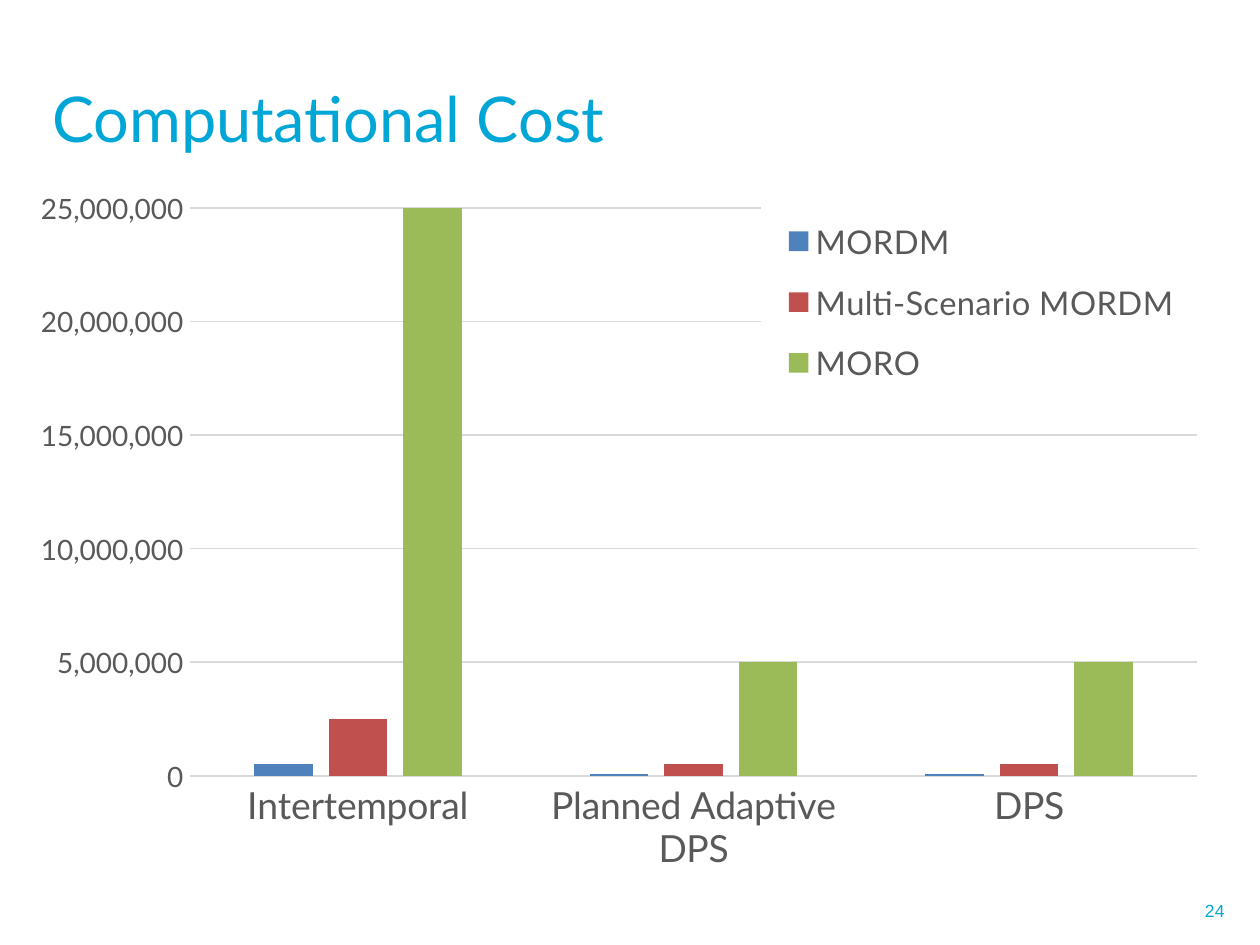
import pptx
import pptx.chart.data
import pptx.dml.color
import pptx.enum.chart
import pptx.enum.text
import pptx.oxml
import pptx.oxml.ns
import pptx.util

COLORS = {
    "accent": "00A6D6", "label": "595959", "grid": "D9D9D9", "paper": "FFFFFF",
    "text": "000000", "blue": "4F81BD", "red": "C0504D", "green": "9BBB59",
}
WIDTH = 7.5
HEIGHT = WIDTH * 3 / 4
NS = pptx.oxml.ns.nsdecls("c", "a")
ALIGN = pptx.enum.text.PP_ALIGN
ANCHOR = pptx.enum.text.MSO_ANCHOR


def rgb(name):
    return pptx.dml.color.RGBColor.from_string(COLORS[name])


def format_font(font, size, color, face="Lato"):
    font.size = pptx.util.Pt(size)
    font.name = face
    font.bold = False
    font.color.rgb = rgb(color)


def write(frame, text, size=12, color="text", face="Lato", align=ALIGN.LEFT):
    frame.text = text
    frame.word_wrap = True
    frame.auto_size = pptx.enum.text.MSO_AUTO_SIZE.NONE
    frame.vertical_anchor = ANCHOR.MIDDLE
    paragraph = frame.paragraphs[0]
    paragraph.alignment = align
    format_font(paragraph.runs[0].font, size, color, face)


def set_layout(parent, after, *place, inner=False):
    """Place a chart part by percentages of the chart's size."""
    for old in parent.findall(pptx.oxml.ns.qn("c:layout")):
        parent.remove(old)
    target = '<c:layoutTarget val="inner"/>' if inner else ""
    sides = "".join(f'<c:{side} val="{share / 100:.4f}"/>'
                    for side, share in zip("xywh", place))
    layout = pptx.oxml.parse_xml(
        f'<c:layout {NS}><c:manualLayout>{target}'
        f'<c:xMode val="edge"/><c:yMode val="edge"/>{sides}'
        '</c:manualLayout></c:layout>')
    if after is None:
        parent.insert(0, layout)
    else:
        parent.find(pptx.oxml.ns.qn(after)).addnext(layout)


class CostSlide:
    def __init__(self, deck):
        self.slide = deck.slides.add_slide(deck.slide_layouts[5])
        self.slide.background.fill.solid()
        self.slide.background.fill.fore_color.rgb = rgb("paper")

    def box(self, x, y, w, h):
        """Turn percentages of the slide's size into lengths."""
        return [pptx.util.Inches(share / 100 * side) for share, side in
                zip((x, y, w, h), (WIDTH, HEIGHT) * 2)]

    def title(self, text, *place):
        heading = self.slide.shapes.title
        heading.left, heading.top, heading.width, heading.height = self.box(*place)
        write(heading.text_frame, text, size=27, color="accent")

    def page_number(self, text, *place):
        frame = self.slide.shapes.add_textbox(*self.box(*place)).text_frame
        frame.margin_left = frame.margin_right = pptx.util.Inches(0.07)
        frame.margin_top = frame.margin_bottom = pptx.util.Inches(0.04)
        write(frame, text, size=7.5, color="accent", face="Arial", align=ALIGN.RIGHT)

    def column_chart(self, categories, series, *place):
        data = pptx.chart.data.CategoryChartData(number_format="#,##0")
        data.categories = categories
        for name, values, _ in series:
            data.add_series(name, values)
        chart = self.slide.shapes.add_chart(
            pptx.enum.chart.XL_CHART_TYPE.COLUMN_CLUSTERED,
            *self.box(*place), data).chart
        chart.has_title = False
        format_font(chart.font, 10, "text")

        # Columns
        plot = chart.plots[0]
        plot.vary_by_categories = False
        plot.gap_width, plot.overlap = 219, -27
        for columns, (_, _, color) in zip(plot.series, series):
            columns.format.fill.solid()
            columns.format.fill.fore_color.rgb = rgb(color)
        set_layout(chart._chartSpace.chart.plotArea, None,
                   14.4, 4.25, 83.6, 80.3, inner=True)
        self.axes(chart.category_axis, chart.value_axis)
        self.legend(chart)

    def axes(self, methods, cost):
        for axis, size in ((methods, 16), (cost, 12)):
            axis.major_tick_mark = pptx.enum.chart.XL_TICK_MARK.NONE
            axis.minor_tick_mark = pptx.enum.chart.XL_TICK_MARK.NONE
            format_font(axis.tick_labels.font, size, "label")
        cost.maximum_scale = 25000000
        cost.tick_labels.number_format = "#,##0"
        cost.tick_labels.number_format_is_linked = False
        cost.format.line.fill.background()
        cost.has_major_gridlines = True
        for line in (methods.format.line, cost.major_gridlines.format.line):
            line.color.rgb = rgb("grid")
            line.width = pptx.util.Pt(0.75)

    def legend(self, chart):
        chart.has_legend = True
        legend = chart.legend
        legend.position = pptx.enum.chart.XL_LEGEND_POSITION.RIGHT
        legend.include_in_layout = True
        format_font(legend.font, 14, "label")
        element = legend._element
        set_layout(element, "c:legendPos", 61.8, 3.2, 36.6, 28.7)
        # The white fill hides the gridlines behind the legend
        element.find(pptx.oxml.ns.qn("c:overlay")).addnext(pptx.oxml.parse_xml(
            f'<c:spPr {NS}><a:solidFill><a:srgbClr val="{COLORS["paper"]}"/>'
            '</a:solidFill><a:ln><a:noFill/></a:ln></c:spPr>'))


def main():
    deck = pptx.Presentation()
    deck.slide_width = pptx.util.Inches(WIDTH)
    deck.slide_height = pptx.util.Inches(HEIGHT)

    cost = CostSlide(deck)
    cost.page_number("24", 72.8, 93.7, 25.33, 5.33)
    cost.title("Computational Cost", 2.8, 4.1, 94.13, 16.7)
    cost.column_chart(
        ["Intertemporal", "Planned Adaptive DPS", "DPS"],
        [("MORDM", (500000, 100000, 100000), "blue"),
         ("Multi-Scenario MORDM", (2500000, 500000, 500000), "red"),
         ("MORO", (25000000, 5000000, 5000000), "green")],
        1.33, 18.84, 95.6, 74.84)
    deck.save("out.pptx")


if __name__ == "__main__":
    main()
